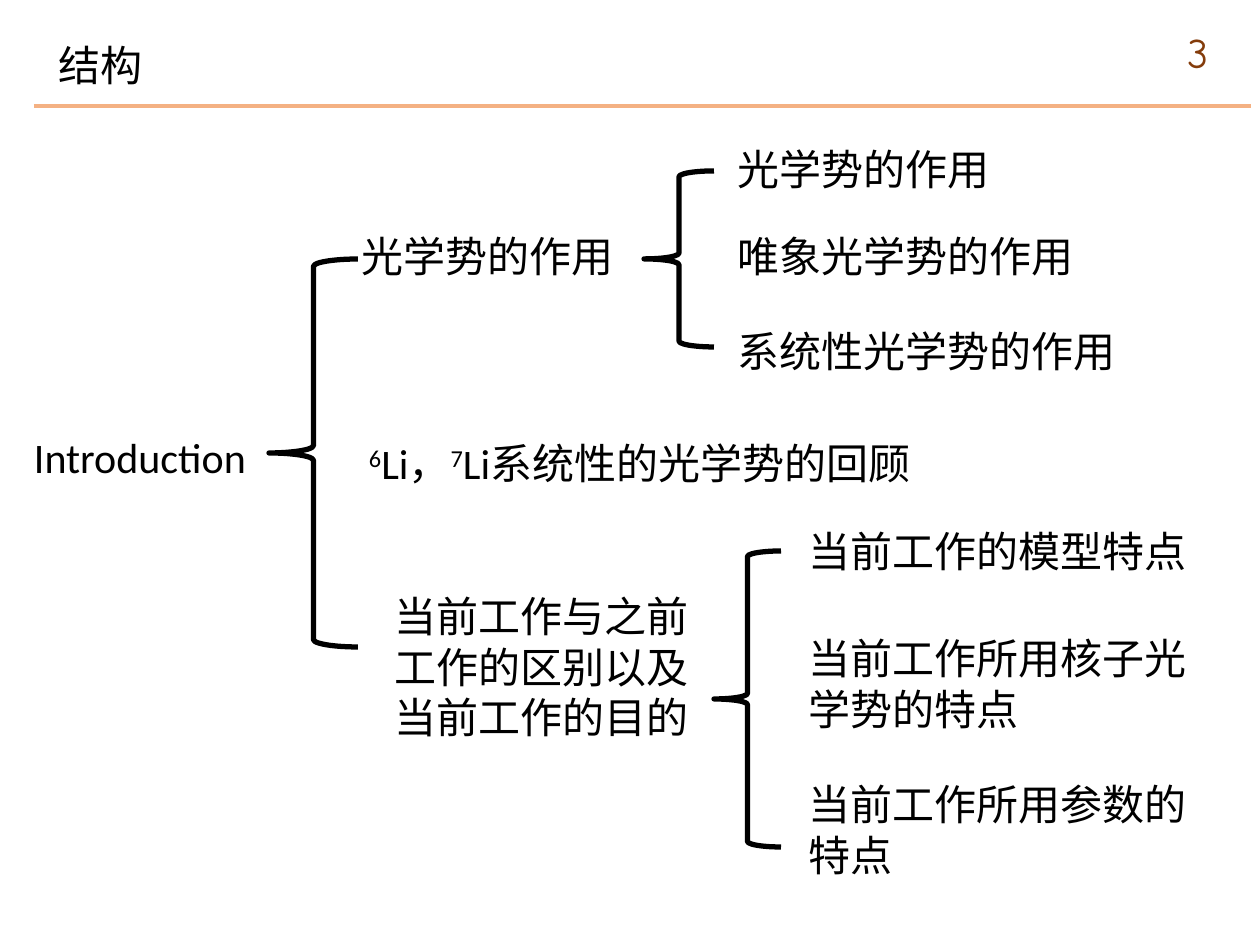
from lxml.etree import SubElement
from pptx import Presentation
from pptx.dml.color import RGBColor
from pptx.enum.shapes import MSO_CONNECTOR, MSO_SHAPE
from pptx.enum.text import MSO_ANCHOR, MSO_AUTO_SIZE, PP_ALIGN
from pptx.oxml.ns import qn
from pptx.util import Pt

BLACK = RGBColor(0x00, 0x00, 0x00)
ORANGE = RGBColor(0xF4, 0xB1, 0x83)
BROWN = RGBColor(0x84, 0x3C, 0x0B)

PX = 914400 // 126
LINE_HEIGHT = 51
ROLE_LEFT, FEATURE_LEFT, FEATURE_WIDTH = 738, 809, 401

TITLE = ("结构", 59, 40, 255)
PAGE_NUMBER = ("3", 1176, 21, 52)
TOPICS = [
    ("Introduction", 34, 432, 224),
    ("光学势的作用", 362, 231, 282),
    ("^6^Li，^7^Li系统性的光学势的回顾", 369, 438, 621),
    ("当前工作与之前工作的区别以及当前工作的目的", 395, 591, 316),
    ("光学势的作用", ROLE_LEFT, 144, 282),
    ("唯象光学势的作用", ROLE_LEFT, 231, 339),
    ("系统性光学势的作用", ROLE_LEFT, 326, 381),
    ("当前工作的模型特点", FEATURE_LEFT, 526, FEATURE_WIDTH),
    ("当前工作所用核子光学势的特点", FEATURE_LEFT, 633, FEATURE_WIDTH),
    ("当前工作所用参数的特点", FEATURE_LEFT, 779, FEATURE_WIDTH),
]
BRACES = [(269, 259, 89, 388), (644, 171, 70, 176), (714, 551, 67, 296)]
RULE = (34, 106, 1251, 106)


def emu(*lengths):
    return [length * PX for length in lengths]


def write(box, text, font="Calibri", color=BLACK, margins=(0, 0), wrap=True):
    frame = box.text_frame
    frame.word_wrap = wrap
    frame.auto_size = MSO_AUTO_SIZE.NONE
    frame.vertical_anchor = MSO_ANCHOR.TOP
    frame.margin_left = frame.margin_right = margins[0] * PX
    frame.margin_top = frame.margin_bottom = margins[1] * PX
    para = frame.paragraphs[0]
    para.alignment = PP_ALIGN.LEFT
    for index, part in enumerate(text.split("^")):
        if not part:
            continue
        span = para.add_run()
        span.text = part
        span.font.name = font
        span.font.size = Pt(24)
        span.font.color.rgb = color
        if index % 2:
            span.font._element.set("baseline", "30000")


def add_text(page, text, left, top, width, height=LINE_HEIGHT, **style):
    box = page.shapes.add_textbox(*emu(left, top, width, height))
    write(box, text, **style)


def add_brace(page, bounds):
    brace = page.shapes.add_shape(MSO_SHAPE.LEFT_BRACE, *emu(*bounds))
    brace.shadow.inherit = False
    brace.fill.background()
    brace.line.color.rgb = BLACK
    brace.line.width = Pt(3)


def add_rule(page, ends):
    rule = page.shapes.add_connector(MSO_CONNECTOR.STRAIGHT, *emu(*ends))
    rule.line.color.rgb = ORANGE
    rule.line.width = Pt(2.25)
    SubElement(rule._element.spPr, qn("a:effectLst"))


def main():
    deck = Presentation()
    deck.slide_width, deck.slide_height = emu(1260, 945)
    page = deck.slides.add_slide(deck.slide_layouts[5])

    add_rule(page, RULE)
    text, left, top, width = TITLE
    title = page.shapes.title
    title.left, title.top, title.width, title.height = emu(left, top, width, LINE_HEIGHT)
    write(title, text)
    add_text(page, *PAGE_NUMBER, height=63, font="Comic Neue", color=BROWN,
             margins=(12, 6), wrap=False)

    for text, left, top, width in TOPICS:
        per_line = width * 72 // (126 * 24)
        lines = 1 if text[0] in "I^" else -(-len(text) // per_line)
        add_text(page, text, left, top, width, lines * LINE_HEIGHT)
    for bounds in BRACES:
        add_brace(page, bounds)

    deck.save("out.pptx")


if __name__ == "__main__":
    main()
